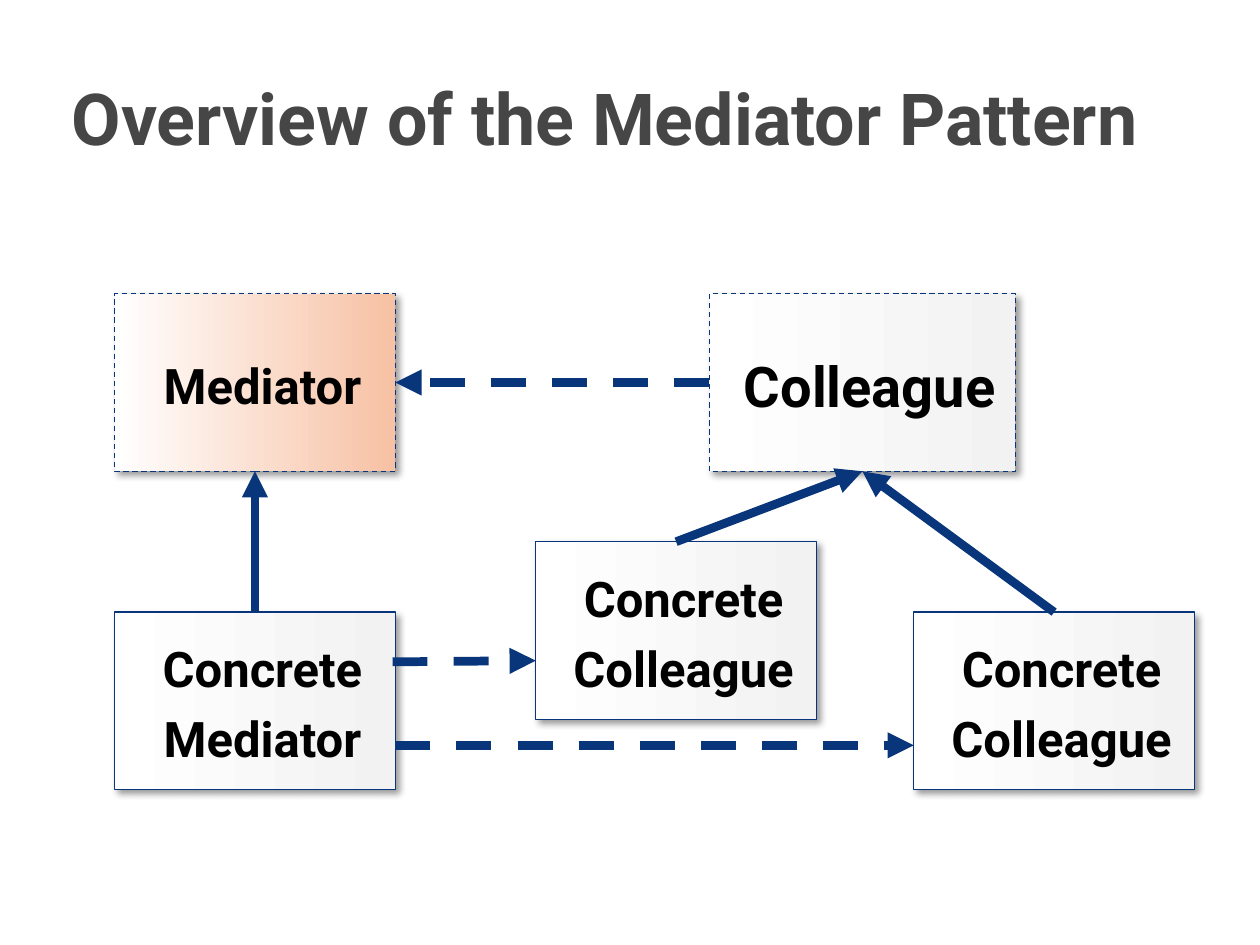
from lxml import etree
from pptx import Presentation
from pptx.dml.color import RGBColor
from pptx.enum import dml, shapes, text
from pptx.oxml import ns
from pptx.util import Cm, Pt

NAVY = RGBColor(0x09, 0x36, 0x7A)
GRAY = RGBColor(0x46, 0x46, 0x46)
BLACK = RGBColor(0, 0, 0)
WHITE = RGBColor(255, 255, 255)
PALE = RGBColor(0xF2, 0xF2, 0xF2)
PEACH = RGBColor(0xF7, 0xC1, 0xA4)
FONT = "Roboto"
DASH = dml.MSO_LINE.DASH

# Content: lengths in centimetres
TITLE = "Overview of the Mediator Pattern"
BOX_W, BOX_H = 5.66, 3.58
TOP_ROW, MIDDLE_ROW, LOW_ROW = 5.92, 10.92, 12.34
CLASSES = {
    "mediator": dict(lines=["Mediator"], x=2.31, y=TOP_ROW, tint=PEACH, dash=DASH),
    "colleague": dict(lines=["Colleague"], x=14.3, y=TOP_ROW, w=6.17, size=32, dash=DASH),
    "concrete mediator": dict(lines=["Concrete", "Mediator"], x=2.31, y=LOW_ROW),
    "colleague 1": dict(lines=["Concrete", "Colleague"], x=10.8, y=MIDDLE_ROW),
    "colleague 2": dict(lines=["Concrete", "Colleague"], x=18.42, y=LOW_ROW),
}
# Each end: class, then fractions of its width and height
ARROWS = [
    (("concrete mediator", 1, 0.75), ("colleague 2", 0, 0.75), DASH),
    (("concrete mediator", 0.99, 0.28), ("colleague 1", 0, 0.67), DASH),
    (("colleague", 0, 0.5), ("mediator", 1, 0.5), DASH),
    (("concrete mediator", 0.5, 0), ("mediator", 0.5, 1), None),
    (("colleague 1", 0.5, 0), ("colleague", 0.5, 1), None),
    (("colleague 2", 0.5, 0), ("colleague", 0.5, 1), None),
]


def add_xml(parent, tag, **attrs):
    return etree.SubElement(parent, ns.qn(tag), attrs)


def write(p, words, size=28, color=BLACK, align=text.PP_ALIGN.CENTER):
    p.alignment = align
    r = p.add_run()
    r.text = words
    r.font.name, r.font.size, r.font.bold = FONT, Pt(size), True
    r.font.color.rgb = color


def style_line(line, width, dash):
    line.color.rgb = NAVY
    line.width = Pt(width)
    if dash:
        line.dash_style = dash


def add_class(slide, lines, x, y, w=BOX_W, size=28, tint=PALE, dash=None):
    sp = slide.shapes.add_shape(shapes.MSO_SHAPE.RECTANGLE, Cm(x), Cm(y), Cm(w), Cm(BOX_H))
    sp.fill.gradient()
    sp.fill.gradient_angle = 0
    for stop, color in zip(sp.fill.gradient_stops, (WHITE, tint)):
        stop.color.rgb = color
    style_line(sp.line, 0.75, dash)

    # Soft shadow to the lower right
    sp.shadow.inherit = False
    effects = sp.element.spPr.find(ns.qn("a:effectLst"))
    shadow = add_xml(effects, "a:outerShdw", blurRad=str(Pt(4)), dist=str(Pt(3)),
                     dir="2700000", algn="tl", rotWithShape="0")
    add_xml(add_xml(shadow, "a:srgbClr", val=str(BLACK)), "a:alpha", val="40000")

    tf = sp.text_frame
    tf.word_wrap = True
    tf.vertical_anchor = text.MSO_ANCHOR.MIDDLE
    for i, words in enumerate(lines):
        p = tf.add_paragraph() if i else tf.paragraphs[0]
        p.line_spacing, p.space_before = 1.07, Pt(4)
        p._p.get_or_add_pPr().set("marL", str(Cm(0.3)))
        write(p, words, size=size)
    return sp


def add_arrow(slide, start, end, dash):
    cx = slide.shapes.add_connector(shapes.MSO_CONNECTOR.STRAIGHT, *start, *end)
    style_line(cx.line, 5, dash)
    add_xml(cx.line._get_or_add_ln(), "a:tailEnd", type="triangle")
    add_xml(cx._element.spPr, "a:effectLst")


def anchor(sp, fx, fy):
    return round(sp.left + fx * sp.width), round(sp.top + fy * sp.height)


prs = Presentation()
prs.slide_width, prs.slide_height = Cm(25.4), Cm(19.05)
slide = prs.slides.add_slide(prs.slide_layouts[5])

# Title
title = slide.shapes.title
title.left, title.top, title.width, title.height = Cm(1.19), Cm(0.76), Cm(22.94), Cm(3.18)
title.text_frame.vertical_anchor = text.MSO_ANCHOR.MIDDLE
write(title.text_frame.paragraphs[0], TITLE, size=41, color=GRAY, align=text.PP_ALIGN.LEFT)

# Classes and the arrows between them
boxes = {name: add_class(slide, **spec_) for name, spec_ in CLASSES.items()}
for (source, *source_at), (target, *target_at), dash in ARROWS:
    add_arrow(slide, anchor(boxes[source], *source_at), anchor(boxes[target], *target_at), dash)

prs.save("out.pptx")
